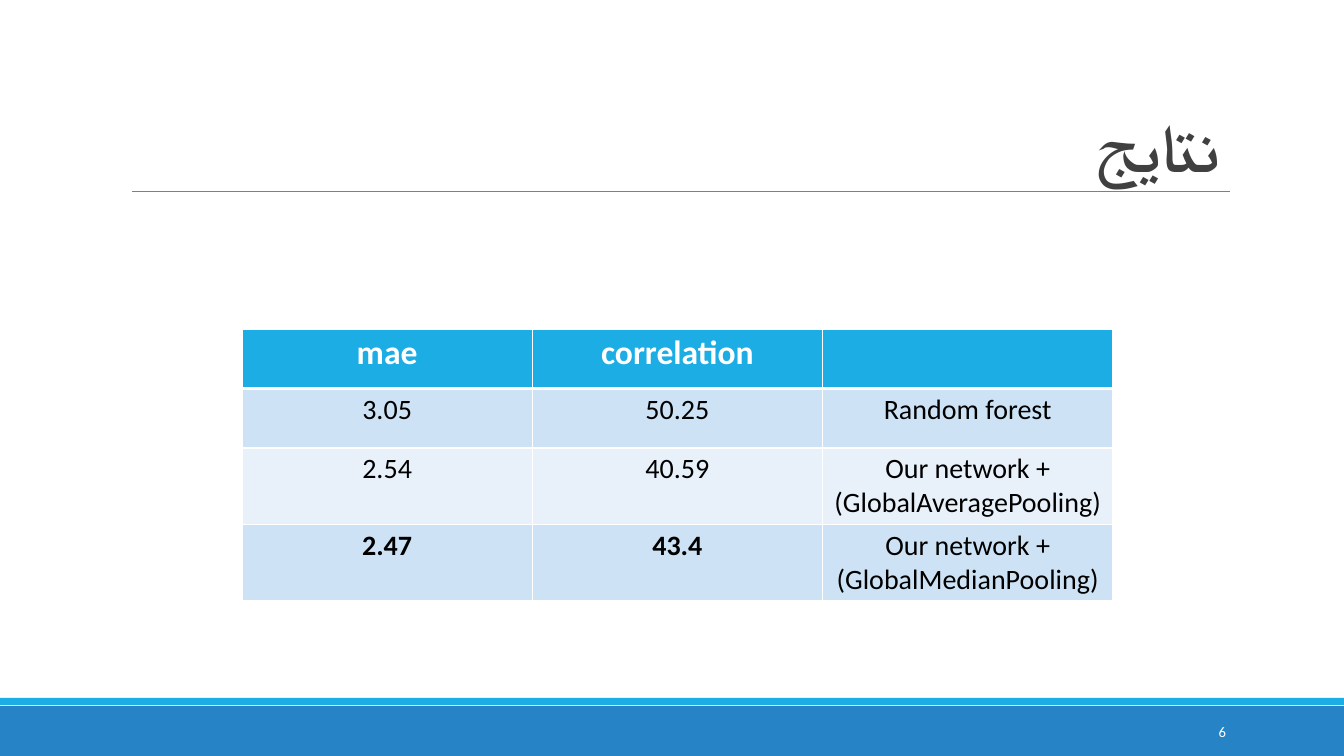
from lxml.etree import SubElement
from pptx import Presentation
from pptx.dml.color import RGBColor
from pptx.enum.shapes import MSO_CONNECTOR, MSO_SHAPE
from pptx.enum.text import MSO_ANCHOR, MSO_AUTO_SIZE, PP_ALIGN
from pptx.oxml.ns import qn
from pptx.util import Emu, Pt

WIDTH, HEIGHT = 1344, 756
EMU_WIDTH = 12192000

RESULTS = [
    ["mae", "correlation", ""],
    ["3.05", "50.25", "Random forest"],
    ["2.54", "40.59", "Our network +\n(GlobalAveragePooling)"],
    ["2.47", "43.4", "Our network +\n(GlobalMedianPooling)"],
]


def px(*values):
    return [Emu(round(v * EMU_WIDTH / WIDTH)) for v in values]


def rgb(color):
    return RGBColor.from_string(color)


def set_attrs(obj, values):
    for name, value in values.items():
        setattr(obj, name, value)


class Deck:
    font = "Calibri"
    blue, cyan, white = "2683C6", "1CADE4", "FFFFFF"
    dark, gray, black = "404040", "808080", "000000"
    bands = ["CDE3F5", "E8F1FA"]

    def __init__(self):
        self.prs = Presentation()
        self.prs.slide_width, self.prs.slide_height = px(WIDTH, HEIGHT)
        self.s = self.prs.slides.add_slide(self.prs.slide_layouts[5])

    def add_lines(self, tf, text, color, size, align, bold=False):
        for i, line in enumerate(text.split("\n")):
            p = tf.add_paragraph() if i else tf.paragraphs[0]
            p.alignment = align
            r = p.add_run()
            r.text = line
            set_attrs(r.font, {"name": self.font, "size": Pt(size), "bold": bold})
            r.font.color.rgb = rgb(color)

    def title(self, text, *box):
        sp = self.s.shapes.title
        set_attrs(sp, dict(zip(("left", "top", "width", "height"), px(*box))))
        tf = sp.text_frame
        set_attrs(tf, {"word_wrap": True, "auto_size": MSO_AUTO_SIZE.NONE,
                       "vertical_anchor": MSO_ANCHOR.BOTTOM})
        self.add_lines(tf, text, self.dark, 48, PP_ALIGN.RIGHT, True)
        p = tf.paragraphs[0]
        p.line_spacing = 0.85
        p._p.get_or_add_pPr().set("rtl", "1")
        rPr = p.runs[0]._r.get_or_add_rPr()
        rPr.set("spc", "-50")
        SubElement(rPr, qn("a:cs"), typeface=self.font)

    def bar(self, color, *box):
        sp = self.s.shapes.add_shape(MSO_SHAPE.RECTANGLE, *px(*box))
        sp.shadow.inherit = False
        sp.fill.solid()
        sp.fill.fore_color.rgb = rgb(color)
        sp.line.fill.background()

    def rule(self, *ends):
        line = self.s.shapes.add_connector(MSO_CONNECTOR.STRAIGHT, *px(*ends))
        line.line.color.rgb = rgb(self.gray)
        line.line.width = Pt(0.5)
        SubElement(line._element.spPr, qn("a:effectLst"))

    def text(self, text, *box):
        tf = self.s.shapes.add_textbox(*px(*box)).text_frame
        set_attrs(tf, {"word_wrap": True, "vertical_anchor": MSO_ANCHOR.MIDDLE})
        self.add_lines(tf, text, self.white, 10.5, PP_ALIGN.RIGHT)

    def border(self, cell, side, width):
        ln = SubElement(cell._tc.get_or_add_tcPr(), qn(f"a:ln{side}"), w=str(Pt(width)))
        fill = SubElement(ln, qn("a:solidFill"))
        SubElement(fill, qn("a:srgbClr"), val=self.white)

    def table(self, rows, *box):
        table = self.s.shapes.add_table(len(rows), len(rows[0]), *px(*box)).table
        margins = dict(zip(("margin_left", "margin_right", "margin_top", "margin_bottom"),
                           px(8, 8, 4, 4)))
        last = len(rows) - 1
        for i, row in enumerate(rows):
            header = i == 0
            for j, text in enumerate(row):
                cell = table.cell(i, j)
                set_attrs(cell, margins)
                for side in "LRTB":
                    thick = (i, side) in ((0, "B"), (1, "T"))
                    self.border(cell, side, 3 if thick else 1)
                cell.fill.solid()
                cell.fill.fore_color.rgb = rgb(self.cyan if header else self.bands[(i - 1) % 2])
                if text:
                    self.add_lines(cell.text_frame, text, self.white if header else self.black,
                                   24 if header else 20, PP_ALIGN.CENTER,
                                   header or (i == last and j < 2))


def main():
    deck = Deck()
    deck.bar(deck.blue, 0, 706, WIDTH, 50)
    deck.bar(deck.cyan, 0, 698, WIDTH, 7)
    deck.rule(132, 191, 1230, 191)
    deck.title("نتایج", 121, 31, 1109, 160)
    deck.table(RESULTS, 242, 329, 871, 238)
    deck.text("6", 1092, 712, 144, 40)
    deck.prs.save("out.pptx")


if __name__ == "__main__":
    main()
